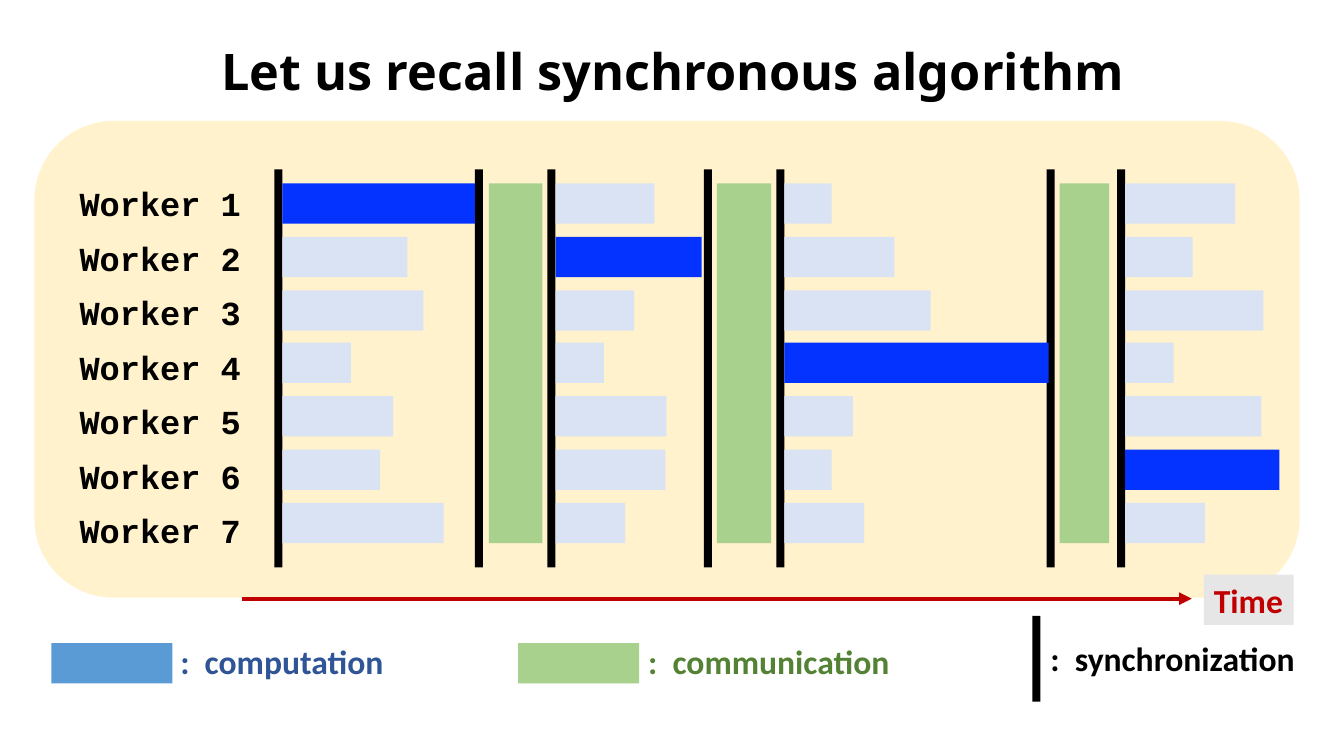
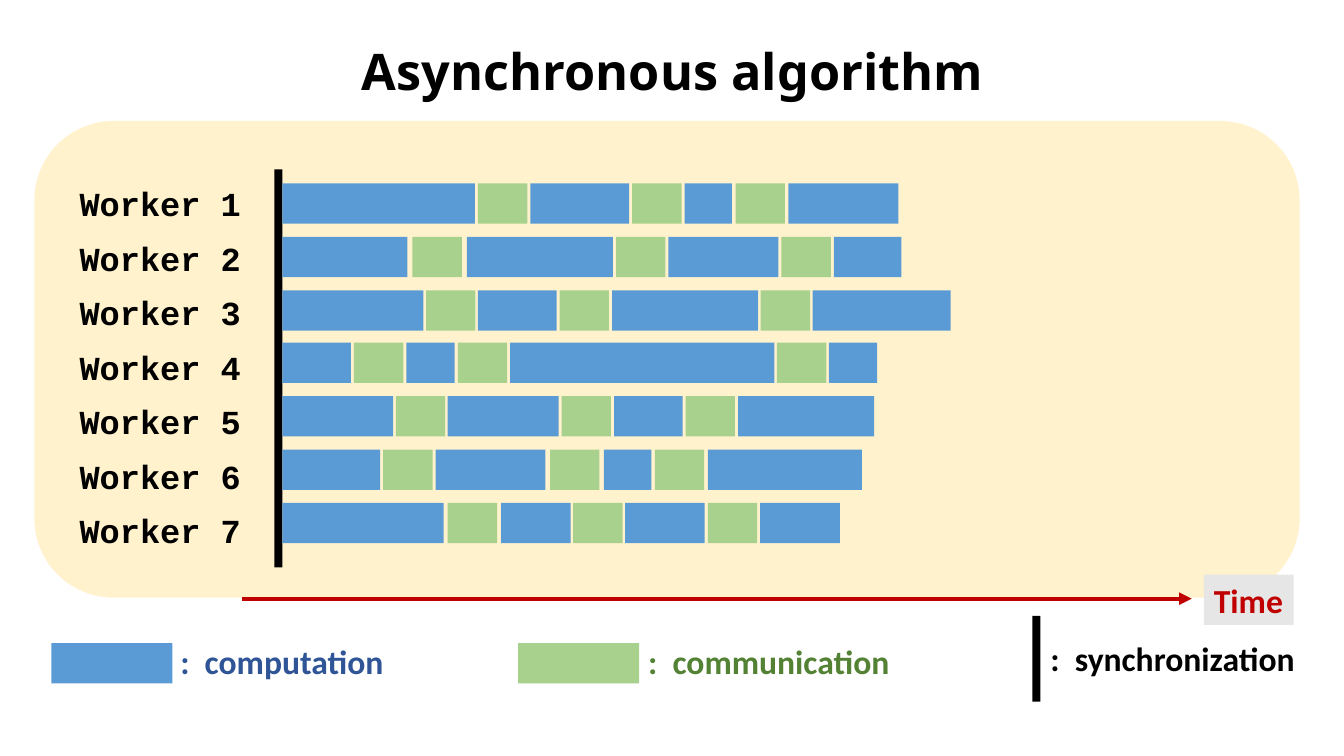
from lxml import etree
from pptx import Presentation
from pptx.dml.color import RGBColor
from pptx.enum.shapes import MSO_CONNECTOR, MSO_SHAPE
from pptx.enum.text import MSO_ANCHOR, MSO_AUTO_SIZE, PP_ALIGN
from pptx.oxml.ns import qn
from pptx.util import Emu, Pt

RECTANGLE = MSO_SHAPE.RECTANGLE
ROUNDED = MSO_SHAPE.ROUNDED_RECTANGLE
STRAIGHT = MSO_CONNECTOR.STRAIGHT
MIDDLE = MSO_ANCHOR.MIDDLE
CENTER = PP_ALIGN.CENTER
FIT_SHAPE = MSO_AUTO_SIZE.SHAPE_TO_FIT_TEXT
NO_FIT = MSO_AUTO_SIZE.NONE

EMU_PER_PX = 9144
TITLE_ONLY = 5

BLACK = "000000"
CREAM = "FFF2CC"
BLUE = "5B9BD5"
DARK_BLUE = "2F5597"
BRIGHT_BLUE = "0432FF"
PALE_BLUE = "DAE3F3"
GREEN = "A9D18E"
DARK_GREEN = "548235"
RED = "C00000"
GRAY = "E7E6E6"

TITLE_FONT = "Noto Sans"
LABEL_FONT = "Calibri"
WORKER_FONT = "Courier New"

CHART_TOP = 182
CHART_HEIGHT = 357
ROW_PITCH = 52.8
BAR_HEIGHT = 40
LABEL_PITCH = 54
MESSAGE_WIDTH = 49
BARRIER_WIDTH = 8
FIRST_BARRIER = 272

DURATIONS = [
    [191, 98, 47, 109],
    [124, 145, 109, 67],
    [140, 78, 145, 137],
    [68, 48, 262, 48],
    [110, 110, 68, 135],
    [97, 109, 47, 153],
    [160, 69, 79, 79],
]
ASYNC_STARTS = [
    [280, 526, 679, 782],
    [280, 463, 663, 827],
    [280, 474, 607, 806],
    [280, 403, 506, 822],
    [280, 444, 609, 732],
    [280, 432, 599, 702],
    [280, 497, 620, 754],
]
SYNC_STARTS = [280, 551, 778, 1116]
SYNC_BARRIERS = [FIRST_BARRIER, 471, 543, 698, 770, 1038, 1108]
SYNC_EXCHANGES = [(485, 53), (711, 54), (1051, 49)]


def px(value):
    return Emu(round(value * EMU_PER_PX))


def rgb(color):
    return RGBColor.from_string(color)


def add_block(slide, left, top, width, height, color, kind=RECTANGLE):
    block = slide.shapes.add_shape(kind, px(left), px(top), px(width), px(height))
    block.shadow.inherit = False
    block.fill.solid()
    block.fill.fore_color.rgb = rgb(color)
    block.line.fill.background()
    return block


def write(frame, text, *, font=LABEL_FONT, size=24, color=BLACK, align=None, spacing=None):
    paragraph = frame.paragraphs[0]
    paragraph.alignment = align
    paragraph.line_spacing = spacing
    run = paragraph.add_run()
    run.text = text
    run.font.name = font
    run.font.size = Pt(size)
    run.font.bold = True
    run.font.color.rgb = rgb(color)


def add_label(slide, left, top, width, text, fill=None, **style):
    label = slide.shapes.add_textbox(px(left), px(top), px(width), px(50))
    if fill:
        label.fill.solid()
        label.fill.fore_color.rgb = rgb(fill)
    label.text_frame.word_wrap = False
    label.text_frame.auto_size = FIT_SHAPE
    write(label.text_frame, text, **style)


def add_arrow(slide, left, right, y, color):
    arrow = slide.shapes.add_connector(STRAIGHT, px(left), px(y), px(right), px(y))
    arrow.line.width = Pt(3)
    arrow.line.color.rgb = rgb(color)
    outline = arrow.line._get_or_add_ln()
    etree.SubElement(outline, qn("a:tailEnd"), type="triangle")
    etree.SubElement(arrow._element.spPr, qn("a:effectLst"))


def add_barrier(slide, left, top=168, height=395):
    add_block(slide, left, top, BARRIER_WIDTH, height, BLACK)


def row_top(row):
    return CHART_TOP + round(row * ROW_PITCH)


def add_bar(slide, row, left, width, color):
    add_block(slide, left, row_top(row), width, BAR_HEIGHT, color)


def add_legend(slide):
    for left, color, label_left, width, text, text_color in (
        (51, BLUE, 169, 224, ":  computation", DARK_BLUE),
        (514, GREEN, 633, 262, ":  communication", DARK_GREEN),
    ):
        add_block(slide, left, 638, 120, BAR_HEIGHT, color)
        add_label(slide, label_left, 631, width, text, color=text_color)
    add_barrier(slide, 1024, top=611, height=85)
    add_label(slide, 1032, 628, 277, ":  synchronization")


def add_timeline_slide(deck, title):
    slide = deck.slides.add_slide(deck.slide_layouts[TITLE_ONLY])
    heading = slide.shapes.title.text_frame
    heading.auto_size = NO_FIT
    heading.vertical_anchor = MIDDLE
    write(heading, title, font=TITLE_FONT, size=36, align=CENTER, spacing=0.9)
    add_block(slide, 34, 120, 1255, 473, CREAM, ROUNDED)
    for row in range(len(DURATIONS)):
        add_label(slide, 69, 177 + row * LABEL_PITCH, 181, f"Worker {row + 1}", font=WORKER_FONT)
    add_arrow(slide, 240, 1182, 594, RED)
    add_label(slide, 1194, 570, 89, "Time", fill=GRAY, color=RED)
    add_legend(slide)
    return slide


def add_synchronous_rounds(slide):
    for left in SYNC_BARRIERS:
        add_barrier(slide, left)
    for left, width in SYNC_EXCHANGES:
        add_block(slide, left, CHART_TOP, width, CHART_HEIGHT, GREEN)
    for start, durations in zip(SYNC_STARTS, zip(*DURATIONS)):
        slowest = max(durations)
        for row, duration in enumerate(durations):
            color = BRIGHT_BLUE if duration == slowest else PALE_BLUE
            add_bar(slide, row, start, duration, color)


def add_asynchronous_runs(slide):
    add_barrier(slide, FIRST_BARRIER)
    for row, (starts, durations) in enumerate(zip(ASYNC_STARTS, DURATIONS)):
        for start, duration in zip(starts, durations):
            add_bar(slide, row, start, duration, BLUE)
        for start, duration, following in zip(starts, durations, starts[1:]):
            message_left = (start + duration + following - MESSAGE_WIDTH) / 2
            add_bar(slide, row, message_left, MESSAGE_WIDTH, GREEN)


def main():
    deck = Presentation()
    deck.slide_width, deck.slide_height = px(1333), px(750)
    layout_title = deck.slide_layouts[TITLE_ONLY].placeholders[0]
    layout_title.left, layout_title.top = px(92), px(1)
    layout_title.width, layout_title.height = px(1150), px(145)

    add_synchronous_rounds(add_timeline_slide(deck, "Let us recall synchronous algorithm"))
    add_asynchronous_runs(add_timeline_slide(deck, "Asynchronous algorithm"))
    deck.save("out.pptx")


if __name__ == "__main__":
    main()
